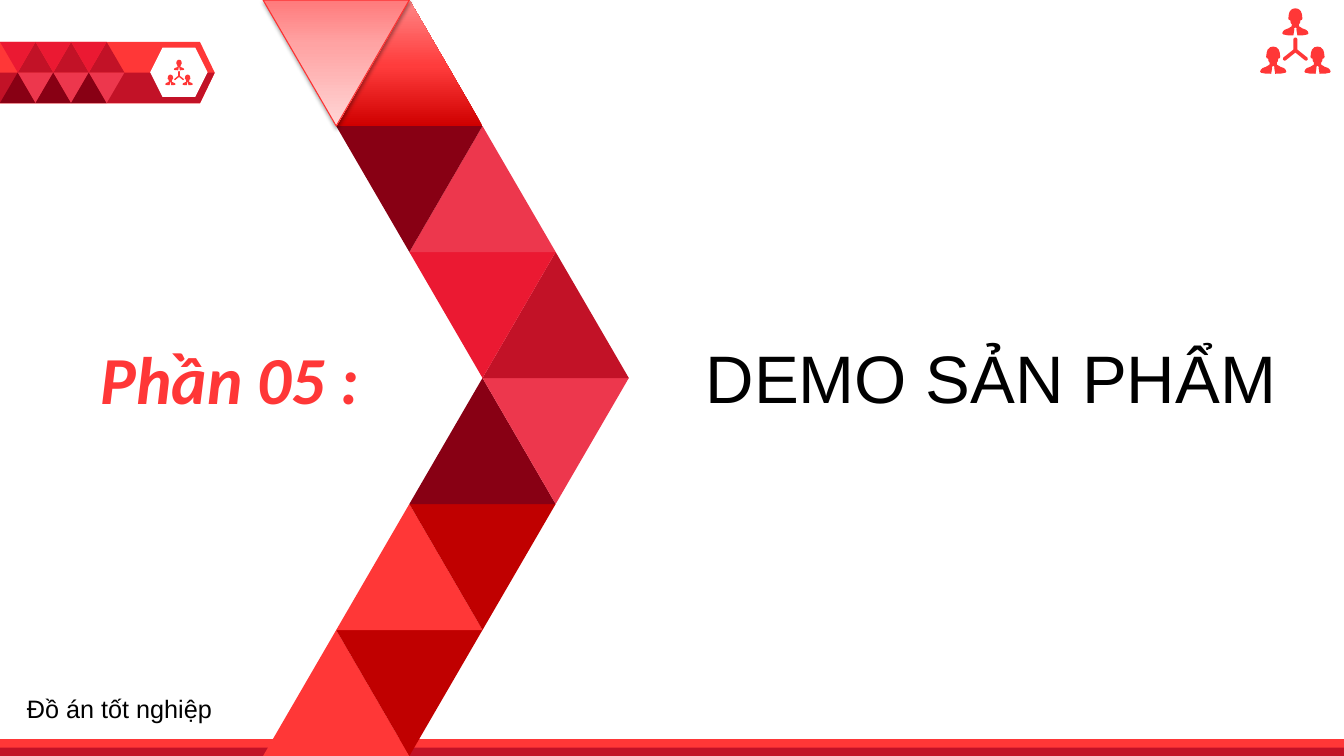
"""Section slide with a chevron of triangles, a header tag and a people icon."""
from lxml import etree
from pptx import Presentation
from pptx.dml.color import RGBColor
from pptx.enum.shapes import MSO_SHAPE
from pptx.enum.text import MSO_ANCHOR, MSO_AUTO_SIZE, PP_ALIGN
from pptx.oxml.ns import qn
from pptx.util import Pt

TRIANGLE, HEXAGON = MSO_SHAPE.ISOSCELES_TRIANGLE, MSO_SHAPE.HEXAGON
PENTAGON, RECT = MSO_SHAPE.PENTAGON, MSO_SHAPE.RECTANGLE
TOP, NO_FIT = MSO_ANCHOR.TOP, MSO_AUTO_SIZE.NONE
LEFT, CENTER = PP_ALIGN.LEFT, PP_ALIGN.CENTER

THEME = {
    "bright": "FF3737", "crimson": "C21227", "rose": "ED374D", "scarlet": "EB1932",
    "maroon": "880014", "deep": "C00000", "white": "FFFFFF", "black": "000000", "edge": "FD3030",
    "glow": [(0, "CF0000"), (48, "FF3C3C"), (100, "FF8787")],
    "pale": [(0, "FF7A7B"), (35, "FFA3A3"), (100, "FFD6D6")],
    "section": {"name": "Calibri", "size": Pt(48), "bold": True, "italic": True},
    "title": {"name": "Arial", "size": Pt(48)},
    "footer": {"name": "Arial", "size": Pt(18)},
}

TITLE = ("DEMO SẢN PHẨM", (456, 236.4, 504, 65.5), "title", "black", CENTER)
LABELS = [
    ("Phần 05 :", (64.8, 237.6, 296.6, 64.8), "section", "bright", LEFT),
    ("Đồ án tốt nghiệp", (12.2, 491.8, 203.8, 28.8), "footer", "black", LEFT),
]

# Each row: step and colour of the upright triangle, then of the inverted one.
CHEVRON = [
    (1, "glow", 0, "pale"), (2, "rose", 1, "maroon"), (3, "crimson", 2, "scarlet"),
    (2, "maroon", 3, "rose"), (1, "bright", 2, "deep"), (0, "bright", 1, "deep"),
]
CHEVRON_GRID = (187.9, 0, 52.25, 90)
TAG_ROWS = [(1, "crimson", 0, "scarlet"), (0, "maroon", 1, "rose")]
TAG_GRID = (0, 30, 12.7, 21.8)
TAG_COLUMNS = 3

PERSON = [(0, 0), (3, 0.7), (5.5, 3), (6.5, 6), (6.7, 8), (7, 10), (6.5, 11.5), (5, 12),
          (4.6, 14.5), (3.5, 16), (3.7, 18), (7, 20), (10.5, 21.3), (12.3, 23), (13, 25),
          (12, 26), (8, 26.8), (2, 27), (1, 21), (1.6, 20.5), (0, 19)]
LINKS = [(0, 29), (1.5, 29.5), (2, 31), (2, 41), (12, 49), (12.3, 51), (11, 52), (9.7, 51.8), (0, 44)]
PEOPLE = [(0, 0), (-22, 38), (22, 38)]
ICONS = [(127.9, 42.7, 0.28), (925.3, 5.9, 0.72)]


def paint(sp, color):
    """Fill a shape with a plain colour or a vertical gradient, without outline or shadow."""
    sp.shadow.inherit = False
    sp.line.fill.background()
    stops = THEME[color]
    if isinstance(stops, str):
        sp.fill.solid()
        sp.fill.fore_color.rgb = RGBColor.from_string(stops)
        return
    sp.fill.gradient()
    sp.fill.gradient_angle = 90
    gs_lst = sp._element.spPr.find(qn("a:gradFill")).find(qn("a:gsLst"))
    for gs in list(gs_lst):
        gs_lst.remove(gs)
    for pos, rgb in stops:
        gs = etree.SubElement(gs_lst, qn("a:gs"), pos=str(pos * 1000))
        etree.SubElement(gs, qn("a:srgbClr"), val=rgb)


def add_block(shapes, kind, box, color, adjust=None):
    """Add one preset shape."""
    sp = shapes.add_shape(kind, *map(Pt, box))
    if adjust is not None:
        sp.adjustments[0] = adjust
    paint(sp, color)
    return sp


def add_outline(shapes, contours, color):
    """Add one freeform made of closed contours."""
    contours = [[(Pt(x), Pt(y)) for x, y in c] for c in contours]
    fb = shapes.build_freeform(*contours[0][0])
    for i, (start, *rest) in enumerate(contours):
        if i:
            fb.move_to(*start)
        fb.add_line_segments(rest, close=True)
    paint(fb.convert_to_shape(), color)


def add_triangle_row(shapes, grid, row, cells, shift=0):
    """Add the upright and the inverted triangle of a row."""
    left, top, half, height = grid
    up, up_color, down, down_color = cells
    for step, color, turn in ((up, up_color, 0), (down, down_color, 180)):
        box = (left + (step + shift) * half, top + row * height, 2 * half, height)
        sp = add_block(shapes, TRIANGLE, box, color)
        sp.rotation = turn
    return sp


def raise_triangle(sp):
    """Give the pale triangle its thin edge and soft shadow."""
    sp.line.color.rgb = RGBColor.from_string(THEME["edge"])
    sp.line.width = Pt(0.75)
    effects = sp._element.spPr.find(qn("a:effectLst"))
    shadow = etree.SubElement(effects, qn("a:outerShdw"), blurRad=str(Pt(3.1)),
                              dist=str(Pt(1.6)), dir="5400000", rotWithShape="0")
    rgb = etree.SubElement(shadow, qn("a:srgbClr"), val=THEME["black"])
    etree.SubElement(rgb, qn("a:alpha"), val="37000")


def add_icon(shapes, x, y, scale):
    """Add three linked people, mirrored about each vertical axis."""
    parts = [(PERSON, dx, dy) for dx, dy in PEOPLE] + [(LINKS, 0, 0)]
    contours = []
    for half, dx, dy in parts:
        full = half + [(-px, py) for px, py in half[-2:0:-1]]
        contours.append([(x + (px + dx) * scale, y + (py + dy) * scale) for px, py in full])
    add_outline(shapes, contours, "bright")


def write(sp, text, box, style, color, align):
    """Place a text shape and format its only run."""
    for name, value in zip(("left", "top", "width", "height"), box):
        setattr(sp, name, Pt(value))
    tf = sp.text_frame
    frame = {"word_wrap": True, "auto_size": NO_FIT, "vertical_anchor": TOP}
    for name, value in frame.items():
        setattr(tf, name, value)
    p = tf.paragraphs[0]
    p.alignment = align
    r = p.add_run()
    r.text = text
    for name, value in THEME[style].items():
        setattr(r.font, name, value)
    r.font.color.rgb = RGBColor.from_string(THEME[color])


def main():
    """Build and save the slide."""
    prs = Presentation()
    prs.slide_width, prs.slide_height = Pt(960), Pt(540)
    shapes = prs.slides.add_slide(prs.slide_layouts[5]).shapes

    add_block(shapes, PENTAGON, (0, 30, 153.4, 43.9), "bright", 0.24)
    add_outline(shapes, [[(0, 51.9), (153.4, 51.9), (142.8, 73.7), (0, 73.7)]], "crimson")
    add_block(shapes, HEXAGON, (107.3, 34, 41, 35.3), "white", 0.25)
    for column in range(TAG_COLUMNS):
        for row, cells in enumerate(TAG_ROWS):
            add_triangle_row(shapes, TAG_GRID, row, cells, 2 * column)

    add_block(shapes, RECT, (0, 528, 960, 12), "bright")
    add_block(shapes, RECT, (0, 534, 960, 6), "crimson")
    for row, cells in reversed(list(enumerate(CHEVRON))):
        sp = add_triangle_row(shapes, CHEVRON_GRID, row, cells)
    raise_triangle(sp)

    for icon in ICONS:
        add_icon(shapes, *icon)
    write(shapes.title, *TITLE)
    for label in LABELS:
        write(shapes.add_textbox(0, 0, 0, 0), *label)
    prs.save("out.pptx")


if __name__ == "__main__":
    main()
